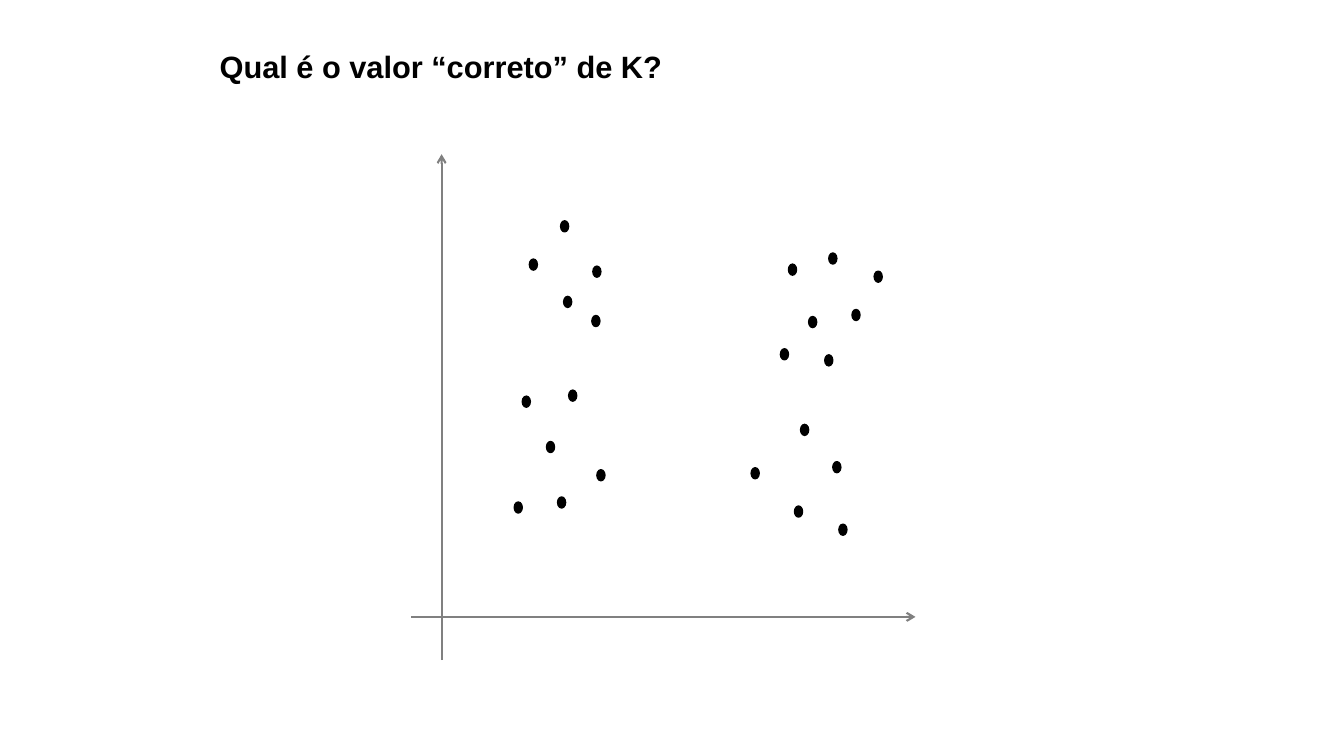
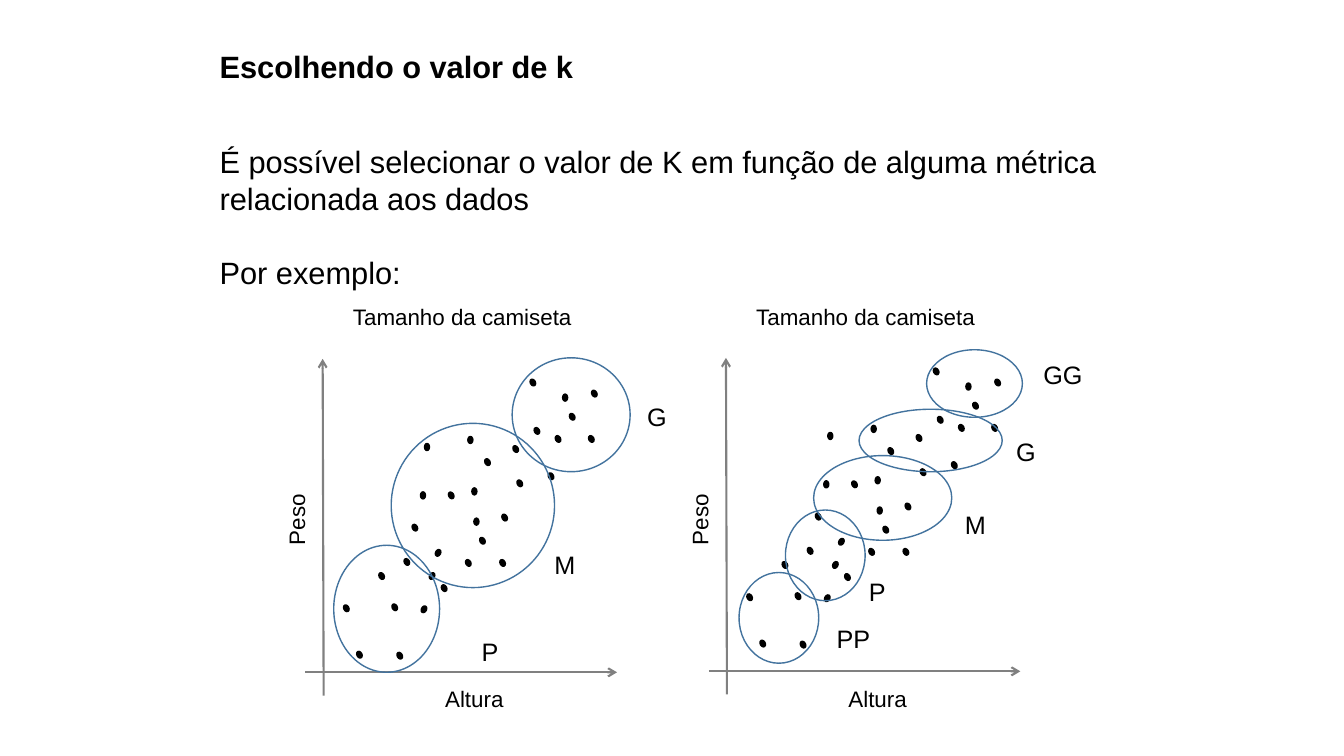
from lxml import etree
from pptx import Presentation
from pptx import util as u
from pptx.dml.color import RGBColor
from pptx.enum import shapes, text
from pptx.oxml import ns

COLORS = {"ink": "000000", "axis": "808080", "ring": "43739E", "paper": "FFFFFF"}
FONT = "Arial"

presentation = Presentation()
presentation.slide_width = u.Inches(13.33)
presentation.slide_height = u.Inches(7.5)

# The grid has 1333 columns and 750 rows, so its cells are square
COLUMN = presentation.slide_width / 1333
ROW = presentation.slide_height / 750


def add_text(slide, box, lines, size, bold=False, align=text.PP_ALIGN.LEFT, wrap=True):
    left, top, width, height = box
    shape = slide.shapes.add_textbox(
        int(left * COLUMN), int(top * ROW), int(width * COLUMN), int(height * ROW))
    frame = shape.text_frame
    frame.text = "\n".join(lines)
    frame.word_wrap = wrap
    frame.auto_size = text.MSO_AUTO_SIZE.SHAPE_TO_FIT_TEXT
    for index, paragraph in enumerate(frame.paragraphs):
        paragraph.alignment = align
        paragraph.space_before = u.Pt(1.2 * size if index else 0)
        paragraph.font.name = FONT
        paragraph.font.size = u.Pt(size)
        paragraph.font.bold = bold
        paragraph.font.color.rgb = RGBColor.from_string(COLORS["ink"])
    return shape


def add_ellipse(slide, box, color, filled=False, rotation=0):
    left, top, width, height = box
    shape = slide.shapes.add_shape(
        shapes.MSO_SHAPE.OVAL,
        int(left * COLUMN), int(top * ROW), int(width * COLUMN), int(height * ROW))
    shape.shadow.inherit = False
    shape.rotation = rotation
    shape.line.color.rgb = RGBColor.from_string(COLORS[color])
    shape.line.width = u.Pt(1)
    if filled:
        shape.fill.solid()
        shape.fill.fore_color.rgb = RGBColor.from_string(COLORS[color])
    else:
        shape.fill.background()


# Slides with their titles
slides = []
for title in ("Qual é o valor “correto” de K?", "Escolhendo o valor de k"):
    slide = presentation.slides.add_slide(presentation.slide_layouts[6])
    slide.background.fill.solid()
    slide.background.fill.fore_color.rgb = RGBColor.from_string(COLORS["paper"])
    add_text(slide, (208, 42, 908, 47), [title], 22, bold=True)
    slides.append(slide)
question_slide, choice_slide = slides

# Introduction of the second slide
add_text(choice_slide, (208, 137, 908, 158), [
    "É possível selecionar o valor de K em função de alguma métrica relacionada aos dados",
    "Por exemplo:"], 22)

# Dots: left and top of each, grouped by rotation
cluster_dots = {0: [
    (510, 498), (542, 438), (564, 387), (592, 466), (518, 393), (556, 219),
    (588, 264), (559, 294), (525, 257), (587, 313), (553, 493), (826, 458),
    (794, 421), (832, 520), (788, 502), (745, 464), (845, 307), (782, 262),
    (818, 352), (774, 346), (802, 314), (867, 269), (822, 251)]}
shirt_dots = {
    -28: [
        (389, 599), (498, 510), (409, 520), (496, 555), (401, 554), (476, 533),
        (513, 476), (481, 455), (530, 424), (445, 488), (354, 646), (394, 647),
        (376, 568), (438, 580), (341, 600), (462, 555), (526, 376), (509, 442),
        (544, 469), (587, 387), (584, 432), (565, 410), (551, 432)],
    28: [(418, 601), (432, 545), (426, 568)],
    0: [(417, 488), (470, 514), (464, 433), (468, 484), (421, 440), (558, 391)]}
shifted_dots = {rotation: [(left + 400, top - 11) for left, top in dots]
                for rotation, dots in shirt_dots.items()}

# Rings around the sizes, and the label of each size with its box
three_sizes = [
    ((331, 541, 105, 126), "P", (468, 626, 37, 40)),
    ((388, 420, 162, 163), "M", (540, 540, 41, 40)),
    ((508, 355, 117, 113), "G", (632, 393, 40, 40))]
five_sizes = [
    ((733, 568, 79, 90), "PP", (820, 613, 54, 40)),
    ((779, 506, 79, 90), "P", (852, 567, 37, 40)),
    ((807, 452, 137, 84), "M", (947, 500, 41, 40)),
    ((852, 406, 142, 62), "G", (998, 428, 40, 40)),
    ((919, 347, 95, 67), "GG", (1025, 352, 60, 40))]

# Axis labels of the shirt charts: wording, box and rotation in the left chart
shirt_labels = [
    ("Tamanho da camiseta", (292, 296, 333, 37), 0),
    ("Altura", (405, 675, 131, 37), 0),
    ("Peso", (185, 497, 218, 37), 270)]

# Charts: slide, axes (start and end), dot size, dots, label shift, sizes
charts = [
    (question_slide, [(438, 655, 438, 153), (408, 612, 908, 612)],
     (8, 11), cluster_dots, None, []),
    (choice_slide, [(321, 690, 320, 356), (303, 667, 612, 667)],
     (5, 7), shirt_dots, 0, three_sizes),
    (choice_slide, [(721, 689, 720, 355), (703, 666, 1012, 666)],
     (5, 7), shifted_dots, 400, five_sizes)]

for slide, axes, dot_size, dot_groups, label_shift, sizes in charts:
    # Axes with arrowheads
    for start_x, start_y, end_x, end_y in axes:
        axis = slide.shapes.add_connector(
            shapes.MSO_CONNECTOR.STRAIGHT,
            int(start_x * COLUMN), int(start_y * ROW), int(end_x * COLUMN), int(end_y * ROW))
        axis.line.color.rgb = RGBColor.from_string(COLORS["axis"])
        axis.line.width = u.Pt(1.5)
        etree.SubElement(axis.line._get_or_add_ln(), ns.qn("a:tailEnd"), type="arrow")
        etree.SubElement(axis._element.spPr, ns.qn("a:effectLst"))

    # Axis labels
    if label_shift is not None:
        for wording, (left, top, width, height), rotation in shirt_labels:
            label = add_text(slide, (left + label_shift, top, width, height),
                             [wording], 16, align=text.PP_ALIGN.CENTER)
            label.rotation = rotation

    # Dots
    for rotation, dots in dot_groups.items():
        for dot in dots:
            add_ellipse(slide, dot + dot_size, "ink", filled=True, rotation=rotation)

    # Sizes
    for ring, name, name_box in sizes:
        add_ellipse(slide, ring, "ring")
        add_text(slide, name_box, [name], 18, wrap=False)

presentation.save("out.pptx")
